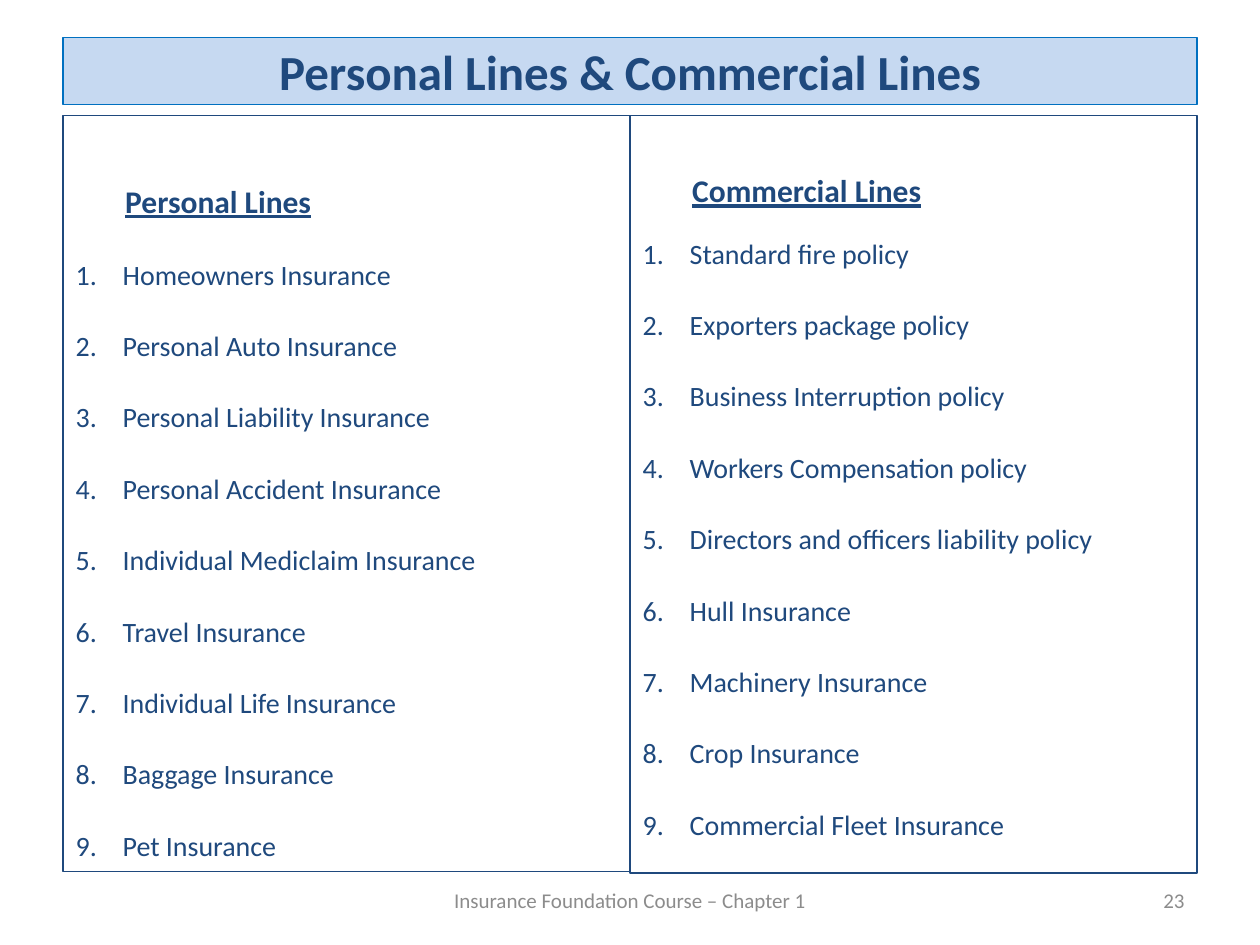
from dataclasses import dataclass

from lxml import etree
from pptx import Presentation
from pptx.dml.color import RGBColor
from pptx.enum.text import MSO_ANCHOR, MSO_AUTO_SIZE, PP_ALIGN
from pptx.oxml.ns import qn
from pptx.util import Cm, Pt

NAVY = RGBColor(0x1F, 0x49, 0x7D)
BLUE = RGBColor(0x00, 0x70, 0xC0)
PALE = RGBColor(0xC6, 0xD9, 0xF1)
GREY = RGBColor(0x8C, 0x8C, 0x8C)
MIDDLE = MSO_ANCHOR.MIDDLE
TOP = MSO_ANCHOR.TOP
FIXED = MSO_AUTO_SIZE.NONE
LEFT, CENTER, RIGHT = PP_ALIGN.LEFT, PP_ALIGN.CENTER, PP_ALIGN.RIGHT
FONT = "Calibri"
EDGE = 1.27
HALF = 11.43


@dataclass
class Panel:
    slot: int
    left: float
    high: float
    inset: float
    after: int
    head: str
    items: list[str]


@dataclass
class Note:
    left: float
    width: float
    text: str
    align: PP_ALIGN


PANELS = [
    Panel(1, EDGE, 15.24, 1.33, 6, "Personal Lines", [
        "Homeowners Insurance",
        "Personal Auto Insurance",
        "Personal Liability Insurance",
        "Personal Accident Insurance",
        "Individual Mediclaim Insurance",
        "Travel Insurance",
        "Individual Life Insurance",
        "Baggage Insurance",
        "Pet Insurance",
    ]),
    Panel(2, EDGE + HALF, 15.27, 1.12, 0, "Commercial Lines", [
        "Standard fire policy",
        "Exporters package policy",
        "Business Interruption policy",
        "Workers Compensation policy",
        "Directors and officers liability policy",
        "Hull Insurance",
        "Machinery Insurance",
        "Crop Insurance",
        "Commercial Fleet Insurance",
    ]),
]
NOTES = [
    Note(18.2, 5.93, "23", RIGHT),
    Note(8.68, 8.04, "Insurance Foundation Course – Chapter 1", CENTER),
]


def place(shape, left: float, top: float, width: float, high: float) -> None:
    shape.left, shape.top = Cm(left), Cm(top)
    shape.width, shape.height = Cm(width), Cm(high)


def style(para, size: int, color: RGBColor, bold: bool = False) -> None:
    for run in para.runs:
        font = run.font
        font.name, font.size, font.bold = FONT, Pt(size), bold
        font.color.rgb = color


def border(shape, color: RGBColor) -> None:
    shape.line.color.rgb = color
    shape.line.width = Pt(0.75)


def indent(para, left: float, hang: float, number: bool) -> None:
    props = para._p.get_or_add_pPr()
    props.set("marL", str(Cm(left)))
    props.set("indent", str(Cm(-hang)))
    if number:
        mark = etree.SubElement(props, qn("a:buAutoNum"))
        mark.set("type", "arabicPeriod")
    else:
        etree.SubElement(props, qn("a:buNone"))


def draw_title(slide, text: str) -> None:
    title = slide.shapes.title
    place(title, EDGE, 0.76, 2 * HALF, 1.35)
    title.fill.solid()
    title.fill.fore_color.rgb = PALE
    border(title, BLUE)
    frame = title.text_frame
    frame.text = text
    frame.auto_size = FIXED
    frame.vertical_anchor = MIDDLE
    para = frame.paragraphs[0]
    para.alignment = CENTER
    style(para, 28, NAVY, True)


def draw_panel(slide, panel: Panel) -> None:
    body = slide.placeholders[panel.slot]
    place(body, panel.left, 2.33, HALF, panel.high)
    border(body, NAVY)
    frame = body.text_frame
    frame.text = "\n".join([panel.head, *panel.items])
    frame.auto_size = FIXED
    frame.vertical_anchor = TOP
    frame.margin_top = Cm(panel.inset)
    head, *items = frame.paragraphs
    indent(head, 1, 0, False)
    head.space_before, head.space_after = Pt(0), Pt(panel.after)
    style(head, 18, NAVY, True)
    head.runs[0].font.underline = True
    for item in items:
        indent(item, 0.95, 0.95, True)
        item.alignment = LEFT
        item.line_spacing = 1.5
        item.space_before = item.space_after = Pt(6)
        style(item, 16, NAVY)


def draw_note(slide, note: Note) -> None:
    box = slide.shapes.add_textbox(Cm(note.left), Cm(17.65), Cm(note.width), Cm(1.01))
    frame = box.text_frame
    frame.word_wrap = True
    frame.vertical_anchor = MIDDLE
    frame.text = note.text
    para = frame.paragraphs[0]
    para.alignment = note.align
    style(para, 12, GREY)


def main() -> None:
    deck = Presentation()
    deck.slide_width, deck.slide_height = Cm(25.4), Cm(19.05)
    slide = deck.slides.add_slide(deck.slide_layouts[3])
    draw_title(slide, "Personal Lines & Commercial Lines")
    for note in NOTES:
        draw_note(slide, note)
    for panel in PANELS:
        draw_panel(slide, panel)
    deck.save("out.pptx")


if __name__ == "__main__":
    main()
